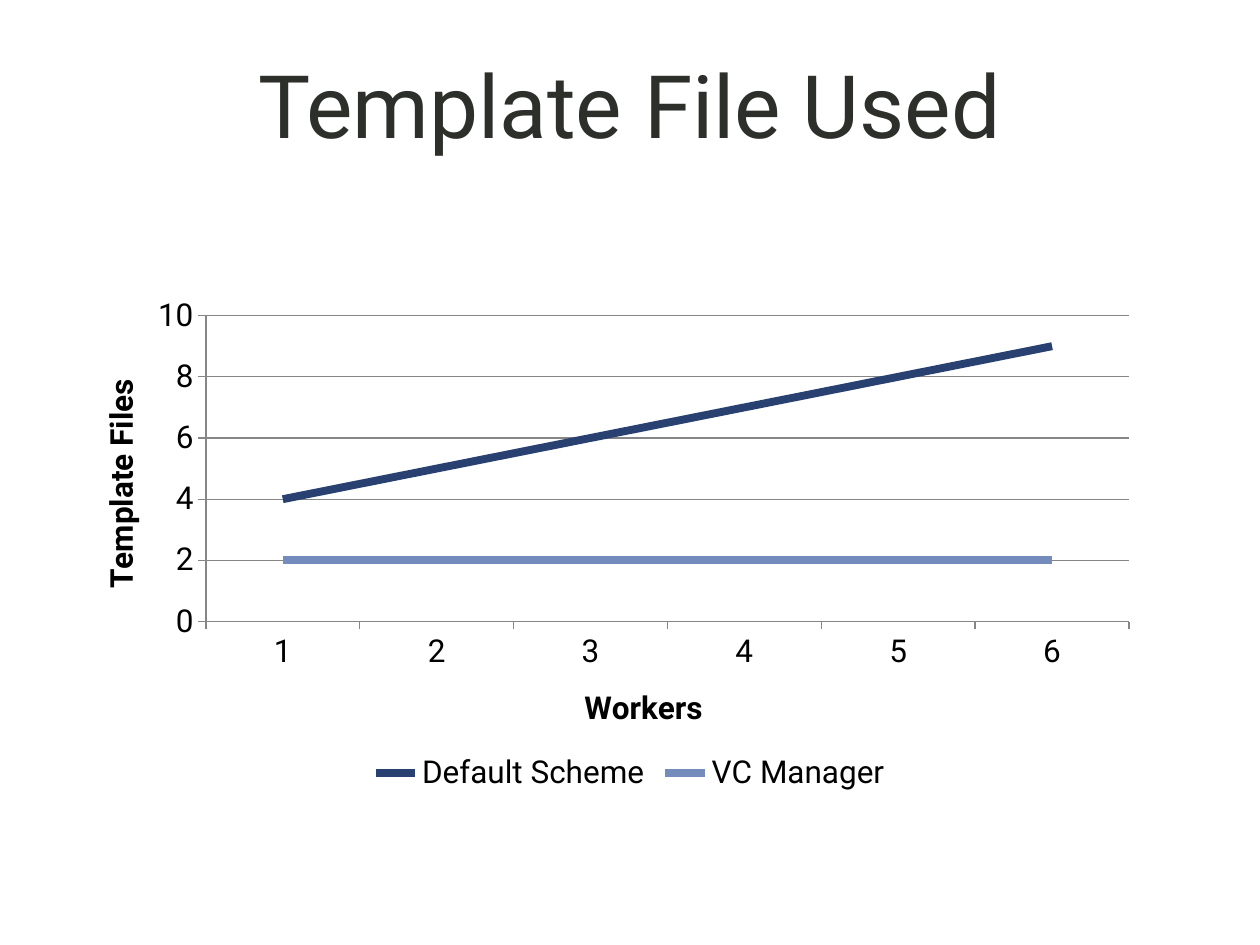
from typing import NamedTuple

from lxml import etree
from pptx import Presentation
from pptx.chart.data import CategoryChartData
from pptx.dml.color import RGBColor
from pptx.enum.chart import XL_CHART_TYPE, XL_LEGEND_POSITION, XL_MARKER_STYLE, XL_TICK_MARK
from pptx.enum.text import MSO_ANCHOR, PP_ALIGN
from pptx.util import Emu, Pt

LINE = XL_CHART_TYPE.LINE
BOTTOM = XL_LEGEND_POSITION.BOTTOM
NO_MARKER = XL_MARKER_STYLE.NONE
OUTSIDE = XL_TICK_MARK.OUTSIDE
MIDDLE = MSO_ANCHOR.MIDDLE
CENTER = PP_ALIGN.CENTER

EMU_PER_PX = 9144
FONT = "Roboto"
COLORS = {
    "title": "2D2F2B",
    "label": "000000",
    "axis": "868686",
    "default": "294171",
    "manager": "748CBC",
}
WORKERS = ["1", "2", "3", "4", "5", "6"]
PLOT_AREA = {"x": 0.104, "y": 0.044, "w": 0.862, "h": 0.607}


class Box(NamedTuple):
    left: int
    top: int
    width: int
    height: int


class Scheme(NamedTuple):
    name: str
    files: list[int]
    color: str


TITLE_BOX = Box(75, 7, 850, 150)
CHART_BOX = Box(75, 233, 850, 400)
SCHEMES = [
    Scheme("Default Scheme", [4, 5, 6, 7, 8, 9], "default"),
    Scheme("VC Manager", [2] * len(WORKERS), "manager"),
]


def px(length: int) -> Emu:
    return Emu(length * EMU_PER_PX)


def place(box: Box) -> list[Emu]:
    return [px(length) for length in box]


def rgb(name: str) -> RGBColor:
    return RGBColor.from_string(COLORS[name])


def style_font(font, *, size: int, color: str, bold: bool = False) -> None:
    font.name = FONT
    font.size = Pt(size)
    font.bold = bold
    font.color.rgb = rgb(color)


def write_text(frame, text: str, *, size: int, color: str, bold: bool = False) -> None:
    para = frame.paragraphs[0]
    para.alignment = CENTER
    span = para.add_run()
    span.text = text
    style_font(span.font, size=size, color=color, bold=bold)


def style_line(line, *, color: str, width: float) -> None:
    line.color.rgb = rgb(color)
    line.width = Pt(width)


def style_axis(axis, title: str) -> None:
    axis.major_tick_mark = OUTSIDE
    style_line(axis.format.line, color="axis", width=0.75)
    style_font(axis.tick_labels.font, size=18, color="label")
    write_text(axis.axis_title.text_frame, title, size=18, color="label", bold=True)


def set_plot_layout(chart) -> None:
    plot_area = chart.plots[0]._element.getparent()
    namespace = etree.QName(plot_area).namespace
    for old_layout in plot_area.findall(f"{{{namespace}}}layout"):
        plot_area.remove(old_layout)
    layout = etree.Element(f"{{{namespace}}}layout")
    manual = etree.SubElement(layout, f"{{{namespace}}}manualLayout")
    settings = {"layoutTarget": "inner", "xMode": "edge", "yMode": "edge", **PLOT_AREA}
    for tag, value in settings.items():
        etree.SubElement(manual, f"{{{namespace}}}{tag}").set("val", str(value))
    plot_area.insert(0, layout)


def add_title(page) -> None:
    frame = page.shapes.add_textbox(*place(TITLE_BOX)).text_frame
    frame.word_wrap = True
    frame.vertical_anchor = MIDDLE
    write_text(frame, "Template File Used", size=50, color="title")


def add_file_chart(page) -> None:
    data = CategoryChartData()
    data.categories = WORKERS
    for scheme in SCHEMES:
        data.add_series(scheme.name, scheme.files)
    chart = page.shapes.add_chart(LINE, *place(CHART_BOX), data).chart
    style_font(chart.font, size=18, color="label")
    chart.has_title = False
    chart.has_legend = True
    chart.legend.position = BOTTOM
    chart.legend.include_in_layout = False
    style_font(chart.legend.font, size=18, color="label")

    style_axis(chart.category_axis, "Workers")
    files_axis = chart.value_axis
    style_axis(files_axis, "Template Files")
    files_axis.minimum_scale = 0
    files_axis.maximum_scale = 10
    files_axis.major_unit = 2
    files_axis.has_major_gridlines = True
    style_line(files_axis.major_gridlines.format.line, color="axis", width=0.75)

    plot = chart.plots[0]
    plot.vary_by_categories = False
    for series, scheme in zip(plot.series, SCHEMES):
        series.smooth = False
        series.marker.style = NO_MARKER
        style_line(series.format.line, color=scheme.color, width=4.5)
    set_plot_layout(chart)


def main() -> None:
    deck = Presentation()
    deck.slide_width, deck.slide_height = px(1000), px(750)
    page = deck.slides.add_slide(deck.slide_layouts[6])
    add_title(page)
    add_file_chart(page)
    deck.save("out.pptx")


if __name__ == "__main__":
    main()
